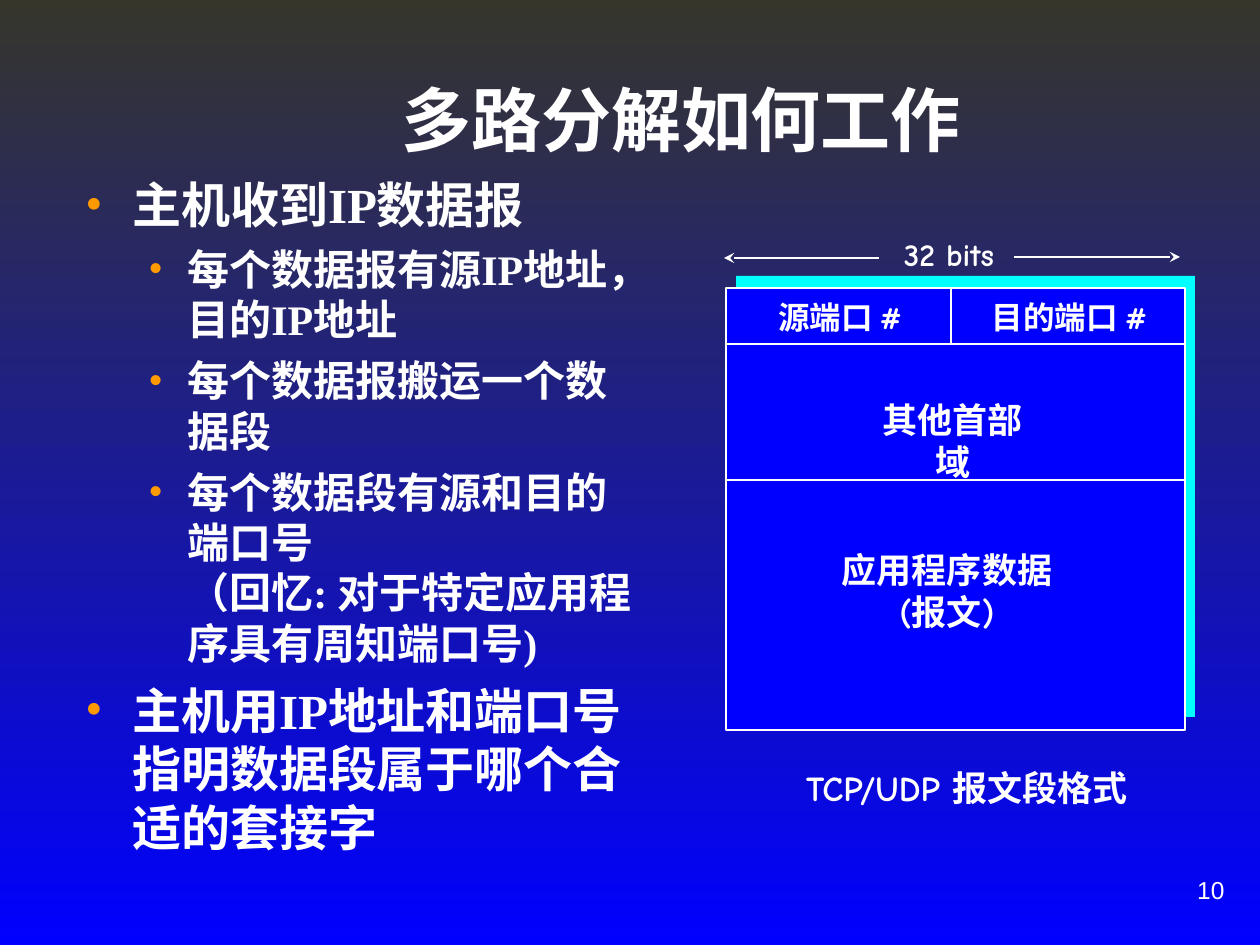
"""Build a slide on how demultiplexing works, with the TCP/UDP segment format."""
from lxml.etree import SubElement
from pptx import Presentation
from pptx.dml.color import RGBColor
from pptx.enum.shapes import MSO_CONNECTOR, MSO_SHAPE
from pptx.enum.text import MSO_ANCHOR, PP_ALIGN
from pptx.oxml.ns import qn
from pptx.util import Emu, Pt

SCALE = 914400 / 126
COLORS = {
    "top": "36362B",
    "blue": "0000FF",
    "shadow": "00FFFF",
    "white": "FFFFFF",
    "bullet": "FF9900",
}


def px(*lengths):
    return [Emu(round(length * SCALE)) for length in lengths]


def add_text(bounds, lines, size, font="Comic Neue", bold=True, align=PP_ALIGN.CENTER,
             anchor=MSO_ANCHOR.TOP, wrap=False):
    text_frame = slide.shapes.add_textbox(*px(*bounds)).text_frame
    text_frame.word_wrap = wrap
    text_frame.vertical_anchor = anchor
    text_frame.text = "\n".join(lines)
    for paragraph in text_frame.paragraphs:
        paragraph.alignment = align
        for run in paragraph.runs:
            run.font.name = font
            run.font.size = Pt(size)
            run.font.bold = bold
            run.font.color.rgb = RGBColor.from_string(COLORS["white"])
    return text_frame


presentation = Presentation()
presentation.slide_width, presentation.slide_height = px(1260, 945)
slide = presentation.slides.add_slide(presentation.slide_layouts[6])

background = slide.background.fill
background.gradient()
background.gradient_angle = 270
for stop, position, name in zip(background.gradient_stops, (0, 1), ("top", "blue")):
    stop.position = position
    stop.color.rgb = RGBColor.from_string(COLORS[name])

add_text((903, 858, 334, 63), ["10"], 14, "Arial", False, PP_ALIGN.RIGHT, MSO_ANCHOR.MIDDLE)

for bounds, name, outlined in [
    ((736, 276, 459, 441), "shadow", False),
    ((726, 288, 459, 442), "blue", True),
]:
    shape = slide.shapes.add_shape(MSO_SHAPE.RECTANGLE, *px(*bounds))
    shape.shadow.inherit = False
    shape.fill.solid()
    shape.fill.fore_color.rgb = RGBColor.from_string(COLORS[name])
    if outlined:
        shape.line.color.rgb = RGBColor.from_string(COLORS["white"])
        shape.line.width = Pt(1)
    else:
        shape.line.fill.background()

add_text((149, 40, 1213 - 149, 158), ["多路分解如何工作"], 40, "Times New Roman",
         anchor=MSO_ANCHOR.MIDDLE, wrap=True)

points = [
    (0, "主机收到IP数据报"),
    (1, "每个数据报有源IP地址，目的IP地址"),
    (1, "每个数据报搬运一个数据段"),
    (1, "每个数据段有源和目的端口号\v（回忆: 对于特定应用程序具有周知端口号)"),
    (0, "主机用IP地址和端口号指明数据段属于哪个合适的套接字"),
]
level_styles = [(28, 7, 47, 47), (24, 6, 102, 39)]
body = add_text((73, 168, 577, 703), [text for level, text in points], 28,
                "Times New Roman", align=PP_ALIGN.LEFT, wrap=True)
for index, (paragraph, (level, text)) in enumerate(zip(body.paragraphs, points)):
    size, space, margin, hanging = level_styles[level]
    paragraph.level = level
    paragraph.space_before = Pt(space if index else 0)
    properties = paragraph._p.get_or_add_pPr()
    left, indent = px(margin, -hanging)
    properties.set("marL", str(left))
    properties.set("indent", str(indent))
    bullet_color = SubElement(properties, qn("a:buClr"))
    SubElement(bullet_color, qn("a:srgbClr"), val=COLORS["bullet"])
    SubElement(properties, qn("a:buFont"), typeface="Times New Roman")
    SubElement(properties, qn("a:buChar"), char="•")
    for run in paragraph.runs:
        run.font.size = Pt(size)

for bounds, lines, size in [
    ((761, 292, 158, 50), ["源端口 #"], 18),
    ((975, 292, 189, 50), ["目的端口 #"], 18),
    ((891, 229, 116, 50), ["32 bits"], 18),
    ((829, 542, 236, 97), ["应用程序数据", "(报文)"], 20),
    ((853, 392, 200, 54), ["其他首部域"], 20),
    ((787, 760, 360, 54), ["TCP/UDP 报文段格式"], 20),
]:
    add_text(bounds, lines, size)

for ends, has_arrow in [
    ((725, 344, 1184, 344), False),
    ((726, 480, 1185, 480), False),
    ((951, 343, 951, 288), False),
    ((1014, 257, 1180, 257), True),
    ((879, 258, 724, 258), True),
]:
    connector = slide.shapes.add_connector(MSO_CONNECTOR.STRAIGHT, *px(*ends))
    connector.line.color.rgb = RGBColor.from_string(COLORS["white"])
    connector.line.width = Pt(1)
    if has_arrow:
        SubElement(connector.line._get_or_add_ln(), qn("a:tailEnd"), type="stealth")
    SubElement(connector._element.spPr, qn("a:effectLst"))

presentation.save("out.pptx")
